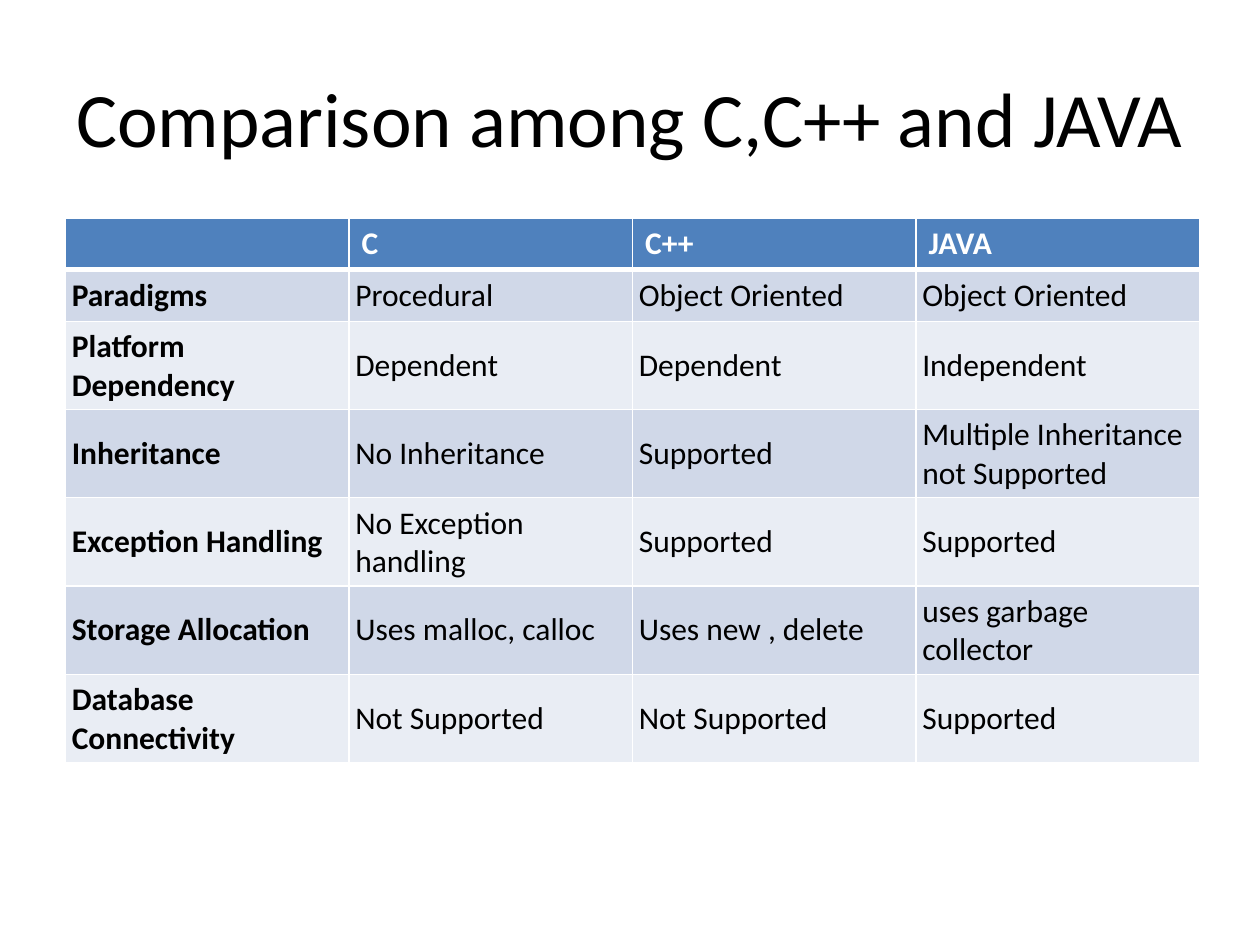
import pptx
import pptx.util
import pptx.dml.color
import pptx.enum.text
import pptx.oxml.ns
import lxml.etree

deck = pptx.Presentation()
deck.slide_width = pptx.util.Inches(10)
deck.slide_height = pptx.util.Inches(7.5)
wide, high = deck.slide_width, deck.slide_height
slide = deck.slides.add_slide(deck.slide_layouts[6])
middle = pptx.enum.text.MSO_ANCHOR.MIDDLE


def color(code):
    return pptx.dml.color.RGBColor.from_string(code)


def write(para, text, size, code, bold=False):
    run = para.add_run()
    run.text = text
    run.font.name = "Calibri"
    run.font.size = pptx.util.Pt(size)
    run.font.bold = bold
    run.font.color.rgb = color(code)


# Title
box = slide.shapes.add_textbox(int(wide * 0.05), int(high * 0.04),
                               int(wide * 0.9), int(high / 6))
frame = box.text_frame
frame.word_wrap = True
frame.vertical_anchor = middle
frame.paragraphs[0].alignment = pptx.enum.text.PP_ALIGN.CENTER
write(frame.paragraphs[0], "Comparison among C,C++ and JAVA", 44, "000000")

# Table wording
rows = [
    ["", "C", "C++", "JAVA"],
    ["Paradigms", "Procedural", "Object Oriented", "Object Oriented"],
    ["Platform Dependency", "Dependent", "Dependent", "Independent"],
    ["Inheritance", "No Inheritance", "Supported",
     "Multiple Inheritance not Supported"],
    ["Exception Handling", "No Exception handling", "Supported", "Supported"],
    ["Storage Allocation", "Uses malloc, calloc", "Uses new , delete",
     "uses garbage collector"],
    ["Database Connectivity", "Not Supported", "Not Supported", "Supported"],
]

# Table grid: equal columns, rows that grow with their text
step = pptx.util.Inches(0.41)
table = slide.shapes.add_table(
    len(rows), len(rows[0]), pptx.util.Inches(0.52), pptx.util.Inches(1.73),
    int(wide * 0.9), step * len(rows)).table
bands = ["E9EDF4", "D0D8E8"]
pad = pptx.util.Inches(0.05)

for r, row in enumerate(rows):
    table.rows[r].height = step
    head = r == 0
    for c, text in enumerate(row):
        cell = table.cell(r, c)

        # White borders, heavier around the foot of the header
        props = cell._tc.get_or_add_tcPr()
        for side in "LRTB":
            thick = (head and side == "B") or (r == 1 and side == "T")
            line = lxml.etree.SubElement(
                props, pptx.oxml.ns.qn("a:ln" + side),
                w=str(pptx.util.Pt(3 if thick else 1)))
            fill = lxml.etree.SubElement(line, pptx.oxml.ns.qn("a:solidFill"))
            lxml.etree.SubElement(fill, pptx.oxml.ns.qn("a:srgbClr"),
                                  val="FFFFFF")

        # Fill and text
        cell.fill.solid()
        cell.fill.fore_color.rgb = color("4F81BD" if head else bands[r % 2])
        if not head:
            cell.vertical_anchor = middle
            cell.margin_left = cell.margin_right = pad
            cell.margin_top = cell.margin_bottom = pad
        if text:
            write(cell.text_frame.paragraphs[0], text, 18,
                  "FFFFFF" if head else "000000", head or c == 0)

deck.save("out.pptx")
